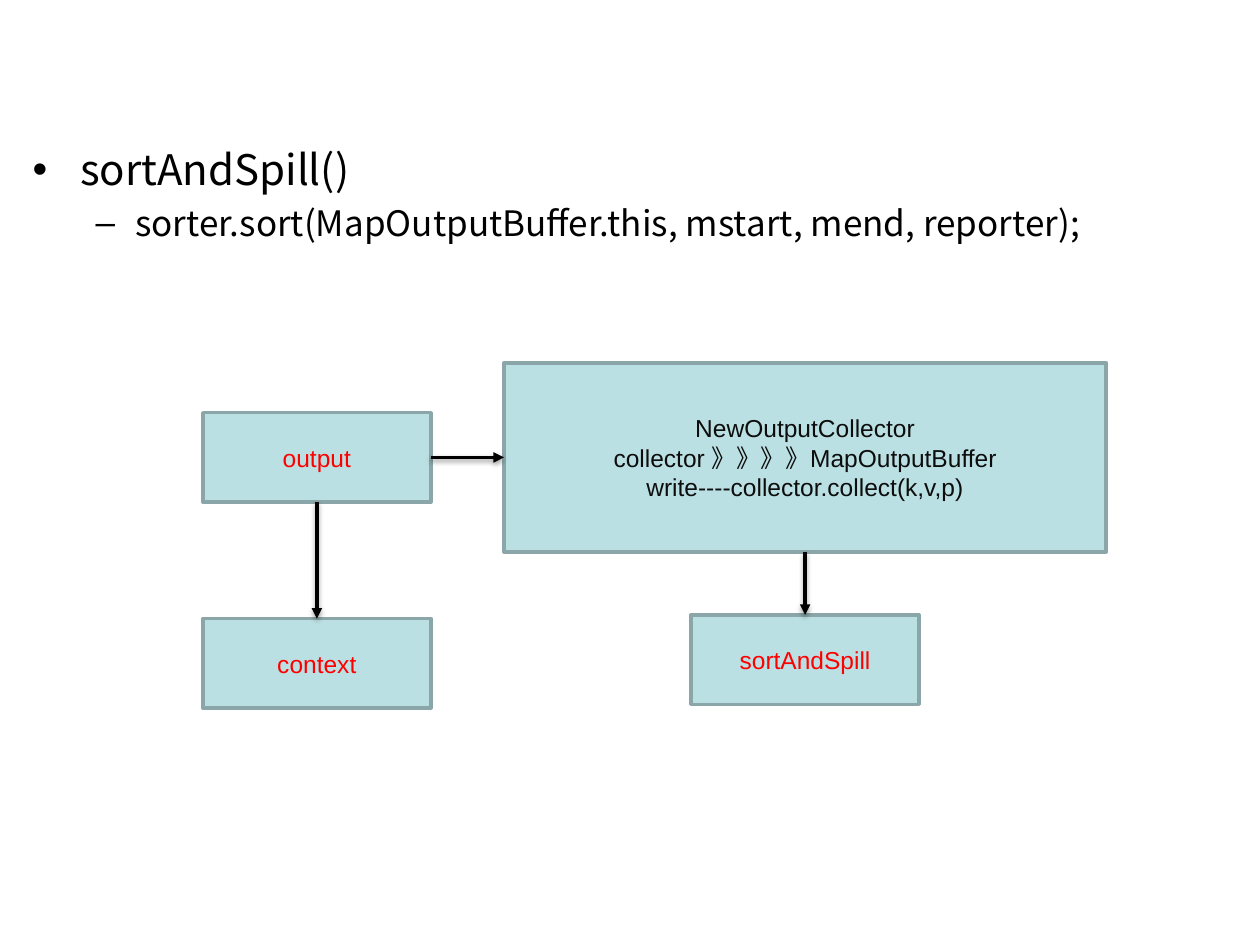
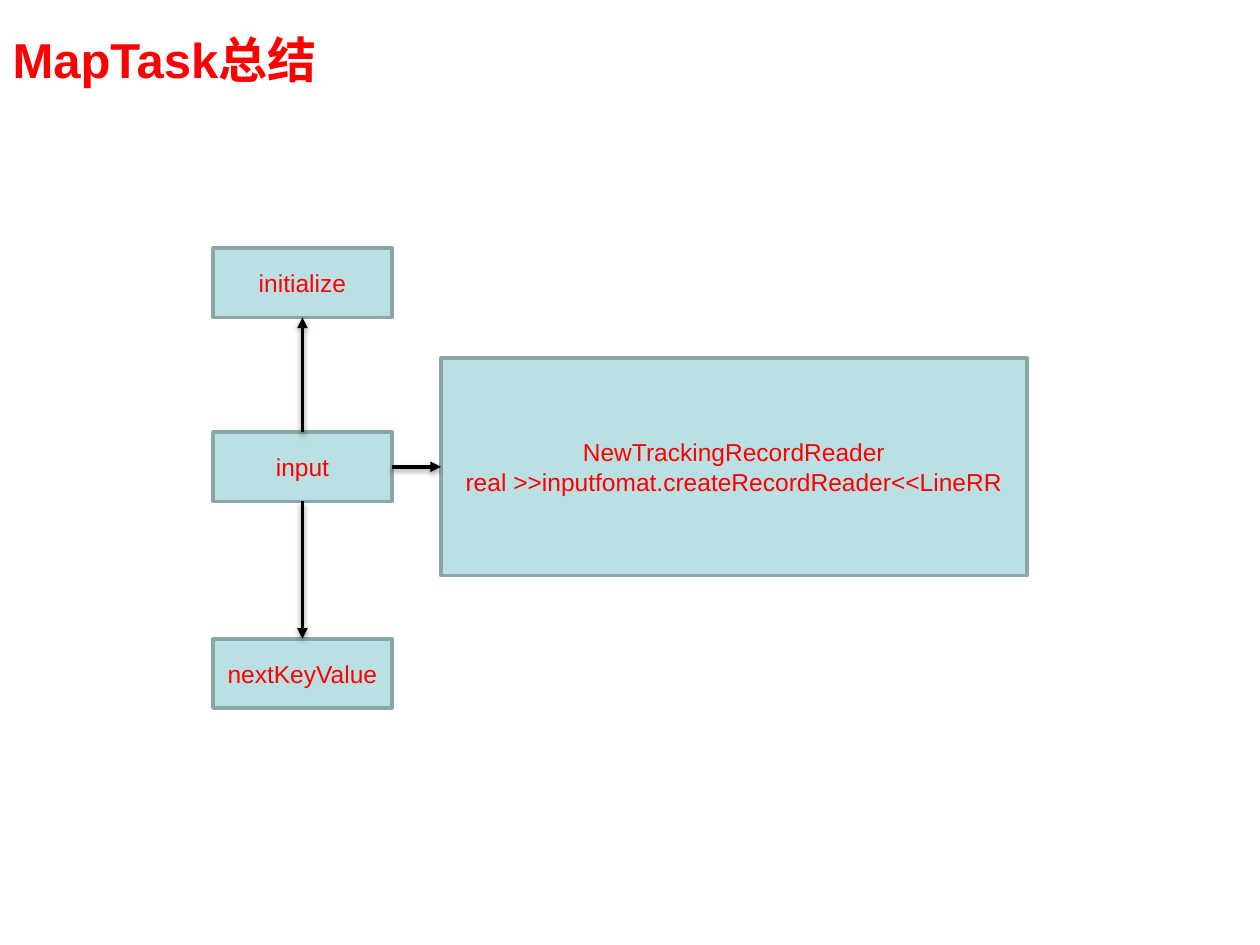
import pptx
import pptx.util
import pptx.dml.color
import pptx.enum.shapes
import pptx.enum.text
import pptx.oxml
from dataclasses import dataclass

Pt = pptx.util.Pt
ALIGN = pptx.enum.text.PP_ALIGN
ANCHOR = pptx.enum.text.MSO_ANCHOR
NS = 'xmlns:a="http://schemas.openxmlformats.org/drawingml/2006/main"'
TOP, LEFT, BOTTOM, RIGHT = range(4)  # connection sites of a rectangle


@dataclass(frozen=True)
class Theme:
    red: str = "FF0000"
    ink: str = "0D0D0D"
    black: str = "000000"
    paper: str = "FFFFFF"
    node_fill: str = "BBE0E3"
    node_line: str = "8AA6A8"
    latin: str = "Arial"
    cjk: str = "Noto Sans CJK SC"
    title: int = 28
    item: int = 24
    subitem: int = 20
    label: int = 14
    stroke: int = 2


T = Theme()
prs = pptx.Presentation()
prs.slide_width, prs.slide_height = pptx.util.Inches(10), pptx.util.Inches(7.5)
COLS, ROWS = 100, 75


@dataclass(frozen=True)
class Box:
    """A rectangle in grid columns and rows."""
    x: float
    y: float
    w: float
    h: float

    def emu(self):
        cw, rh = prs.slide_width / COLS, prs.slide_height / ROWS
        return [round(v) for v in (self.x * cw, self.y * rh, self.w * cw, self.h * rh)]


def rgb(color):
    return pptx.dml.color.RGBColor.from_string(color)


def place(sp, box):
    sp.left, sp.top, sp.width, sp.height = box.emu()


def write(p, text, size=T.label, color=T.red, font=T.latin, bold=False, align=None):
    p.alignment = align
    r = p.add_run()
    r.text = text
    r.font.size, r.font.bold, r.font.name = Pt(size), bold, font
    r.font.color.rgb = rgb(color)
    r.font._element.append(pptx.oxml.parse_xml(f'<a:ea {NS} typeface="{T.cjk}"/>'))


def node(s, box, *lines, color=T.red):
    sp = s.shapes.add_shape(pptx.enum.shapes.MSO_SHAPE.RECTANGLE, *box.emu())
    sp.shadow.inherit = False
    sp.fill.solid()
    sp.fill.fore_color.rgb = rgb(T.node_fill)
    sp.line.color.rgb, sp.line.width = rgb(T.node_line), Pt(T.stroke)
    tf = sp.text_frame
    tf.word_wrap, tf.vertical_anchor = True, ANCHOR.MIDDLE
    for i, line in enumerate(lines):
        p = tf.add_paragraph() if i else tf.paragraphs[0]
        write(p, line, color=color, align=ALIGN.CENTER)
    return sp


def arrow(s, start, start_site, end, end_site):
    c = s.shapes.add_connector(pptx.enum.shapes.MSO_CONNECTOR.STRAIGHT, 0, 0, 0, 0)
    c.begin_connect(start, start_site)
    c.end_connect(end, end_site)
    c.line.color.rgb, c.line.width = rgb(T.black), Pt(T.stroke)
    c.line._get_or_add_ln().append(pptx.oxml.parse_xml(f'<a:tailEnd {NS} type="triangle"/>'))
    c._element.spPr.append(pptx.oxml.parse_xml(
        f'<a:effectLst {NS}><a:outerShdw blurRad="{Pt(3.1)}" dist="{Pt(1.6)}" dir="5400000" '
        f'rotWithShape="0"><a:srgbClr val="{T.black}"><a:alpha val="38000"/></a:srgbClr>'
        '</a:outerShdw></a:effectLst>'))


def title(s, box, text):
    sp = s.shapes.title
    place(sp, box)
    sp.fill.solid()
    sp.fill.fore_color.rgb = rgb(T.paper)
    tf = sp.text_frame
    tf.auto_size, tf.vertical_anchor = pptx.enum.text.MSO_AUTO_SIZE.NONE, ANCHOR.MIDDLE
    write(tf.paragraphs[0], text, size=T.title, bold=True, align=ALIGN.LEFT)


def outline(s, box, items):
    """Bulleted list of (level, text); bullets and indents come from the template."""
    sp = s.placeholders[1]
    place(sp, box)
    tf = sp.text_frame
    tf.auto_size = pptx.enum.text.MSO_AUTO_SIZE.NONE
    for i, (level, text) in enumerate(items):
        p = tf.add_paragraph() if i else tf.paragraphs[0]
        p.level = level
        write(p, text, size=(T.item, T.subitem)[level], color=T.black, font=T.cjk)


def flow(s, box, node_w, node_h, gap, main_y, main_h, source, main, color=T.red,
         above=None, below=None, result=None, drop=0):
    """A source node points to a main box on its right and to nodes above and below."""
    def side(y):
        return Box(box.x, y, node_w, node_h)

    # Source and main box share one centre line
    main_x = box.x + node_w + gap
    main_box = Box(main_x, box.y + main_y, box.x + box.w - main_x, main_h)
    src = node(s, side(main_box.y + (main_h - node_h) / 2), source)
    hub = node(s, main_box, *main, color=color)
    arrow(s, src, RIGHT, hub, LEFT)
    # Side nodes sit at the top and bottom edges of the region
    if above:
        arrow(s, src, TOP, node(s, side(box.y), above), BOTTOM)
    if below:
        arrow(s, src, BOTTOM, node(s, side(box.y + box.h - node_h), below), TOP)
    # Result is centred under the main box
    if result:
        res = Box(main_x + (main_box.w - node_w) / 2, main_box.y + main_h + drop, node_w, node_h)
        arrow(s, hub, BOTTOM, node(s, res, result), TOP)


# Slide 1: sort and spill
s = prs.slides.add_slide(prs.slide_layouts[1])
s.shapes.title._element.getparent().remove(s.shapes.title._element)
outline(s, Box(1.6, 10.9, 96.1, 55.5), [
    (0, "sortAndSpill()"),
    (1, "sorter.sort(MapOutputBuffer.this, mstart, mend, reporter);")])
flow(s, Box(16.1, 28.8, 71.7, 27.4), node_w=18.1, node_h=7.1, gap=5.8, main_y=0, main_h=15,
     source="output", color=T.ink,
     main=["NewOutputCollector", "collector 》》》》MapOutputBuffer",
           "write----collector.collect(k,v,p)"],
     below="context", result="sortAndSpill", drop=5)

# Slide 2: map task summary
s = prs.slides.add_slide(prs.slide_layouts[5])
title(s, Box(0, 0, 77.3, 9.4), "MapTask总结")
flow(s, Box(16.9, 19.7, 64.6, 36.5), node_w=14.2, node_h=5.5, gap=3.9, main_y=8.7, main_h=17.3,
     source="input",
     main=["NewTrackingRecordReader", "real >>inputfomat.createRecordReader<<LineRR"],
     above="initialize", below="nextKeyValue")

prs.save("out.pptx")
